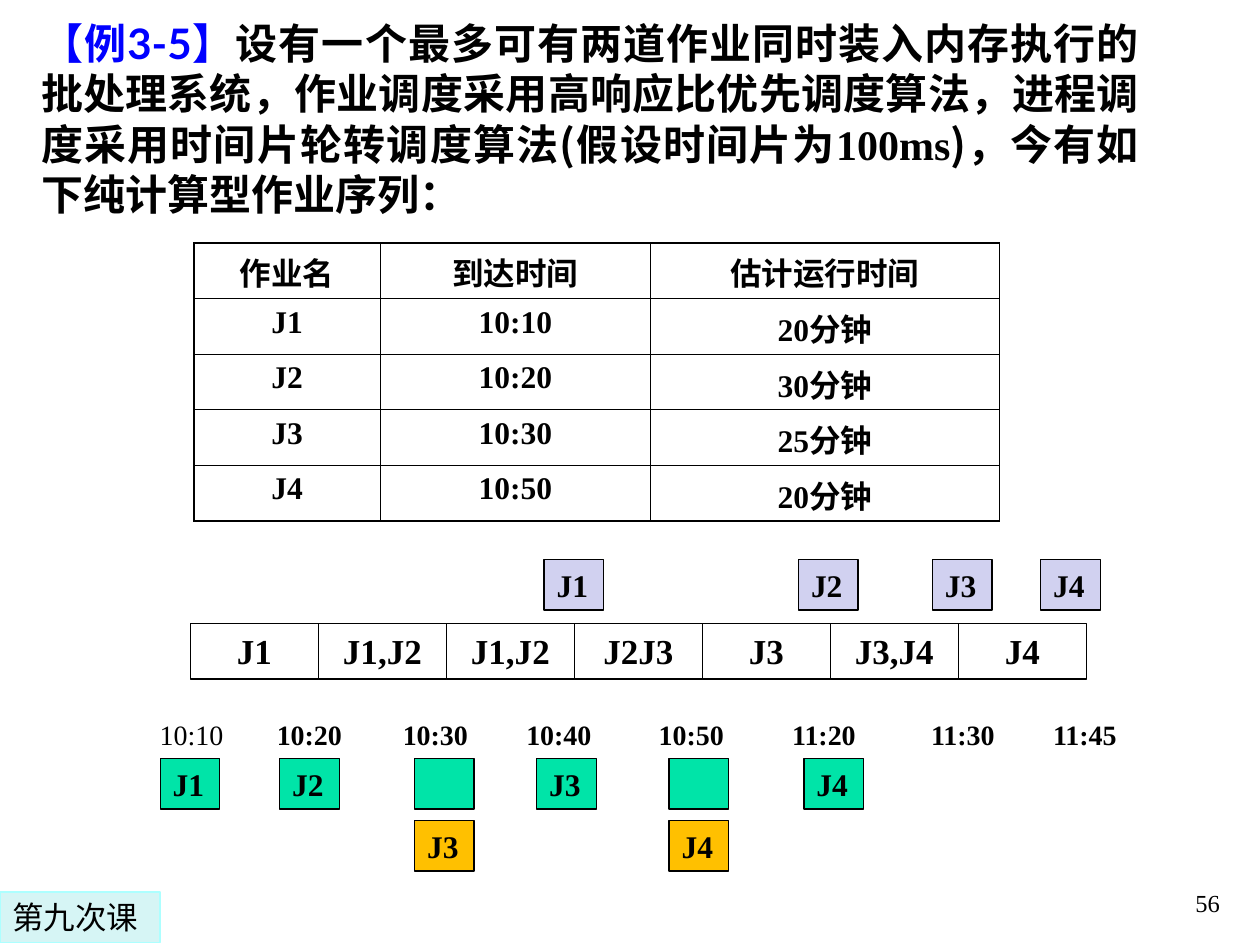
"""Build the job scheduling example slide with its job table and timeline."""
from dataclasses import dataclass
from typing import Optional

from lxml import etree
from pptx import Presentation
from pptx.dml.color import RGBColor
from pptx.enum.shapes import MSO_SHAPE
from pptx.enum.text import MSO_ANCHOR, PP_ALIGN
from pptx.oxml.ns import qn
from pptx.util import Cm, Pt

RECT = MSO_SHAPE.RECTANGLE
TOP, BOTTOM = MSO_ANCHOR.TOP, MSO_ANCHOR.BOTTOM
LEFT, CENTER, RIGHT, JUSTIFY = PP_ALIGN.LEFT, PP_ALIGN.CENTER, PP_ALIGN.RIGHT, PP_ALIGN.JUSTIFY
TIMES, CJK, LATO, DEJAVU = "Times New Roman", "Noto Sans CJK SC", "Lato", "DejaVu Sans"
COLORS = {
    "text": "000000", "heading": "0000FF", "finish": "D1D1F0", "arrive": "00E4A8",
    "wait": "FFC000", "label": "D6F5F5", "label_line": "ADFFFF",
}
THIN, THICK = 0.45, 1.08

QUESTION = [
    ("【例", CJK, "heading"),
    ("3-5", LATO, "heading"),
    ("】", CJK, "heading"),
    ("设有一个最多可有两道作业同时装入内存执行的批处理系统，作业调度采用", CJK, "text"),
    ("高响应比优先", LATO, "text"),
    ("调度算法，进程调度采用时间片轮转调度算法(", CJK, "text"),
    ("假设时间片为", LATO, "text"),
    ("100ms", TIMES, "text"),
    (")，今有如下纯计算型作业序列：", CJK, "text"),
]
JOBS = [
    ("作业名", "到达时间", "估计运行时间"),
    ("J1", "10:10", "20分钟"),
    ("J2", "10:20", "30分钟"),
    ("J3", "10:30", "25分钟"),
    ("J4", "10:50", "20分钟"),
]
COLUMN_WIDTHS = (3.76, 5.44, 7.04)
ROW_HEIGHT = 1.12
RUNNING = ("J1", "J1,J2", "J1,J2", "J2J3", "J3", "J3,J4", "J4")
TICKS = [
    ("10:10", 2.97), ("10:20", 5.33), ("10:30", 7.87), ("10:40", 10.36),
    ("10:50", 13.03), ("11:20", 15.72), ("11:30", 18.52), ("11:45", 20.98),
]


@dataclass
class ChipRow:
    """A row of equal job chips sharing a top edge and a fill."""
    top: float
    fill: str
    chips: list[tuple[str, float]]


CHIP_ROWS = [
    ChipRow(11.28, "finish", [("J1", 10.97), ("J2", 16.1), ("J3", 18.8), ("J4", 20.98)]),
    ChipRow(15.29, "arrive", [("J1", 3.23), ("J2", 5.64), ("", 8.36),
                              ("J3", 10.82), ("", 13.49), ("J4", 16.21)]),
    ChipRow(16.54, "wait", [("J3", 8.36), ("J4", 13.49)]),
]


def rgb(name: str) -> RGBColor:
    """Look up a named colour."""
    return RGBColor.from_string(COLORS[name])


def style_run(r, size: float, bold: bool, font: str = TIMES, color: str = "text",
              east_asian: str = CJK) -> None:
    """Format a run, including its East Asian typeface."""
    r.font.size, r.font.bold, r.font.name = Pt(size), bold, font
    r.font.color.rgb = rgb(color)
    etree.SubElement(r.font._element, qn("a:ea")).set("typeface", east_asian)


def write(sp, text: str, size: float, bold: bool = True, align=LEFT, font: str = TIMES,
          east_asian: str = CJK, anchor=TOP, wrap: bool = True) -> None:
    """Put one styled line into a shape or text box."""
    tf = sp.text_frame
    tf.word_wrap, tf.vertical_anchor = wrap, anchor
    p = tf.paragraphs[0]
    p.text, p.alignment = text, align
    for r in p.runs:
        style_run(r, size, bold, font, east_asian=east_asian)


def add_box(s, x: float, y: float, w: float, h: float, fill: Optional[str] = None,
            line: str = "text"):
    """Add an outlined rectangle with an optional fill."""
    sp = s.shapes.add_shape(RECT, Cm(x), Cm(y), Cm(w), Cm(h))
    sp.shadow.inherit = False
    if fill:
        sp.fill.solid()
        sp.fill.fore_color.rgb = rgb(fill)
    else:
        sp.fill.background()
    sp.line.color.rgb = rgb(line)
    sp.line.width = Pt(0.75)
    return sp


def add_text(s, x: float, y: float, w: float, h: float):
    """Add an empty text box."""
    return s.shapes.add_textbox(Cm(x), Cm(y), Cm(w), Cm(h))


def add_question(s) -> None:
    """Add the question paragraph."""
    tf = add_text(s, 0.58, 0.23, 22.63, 4.32).text_frame
    tf.word_wrap = True
    p = tf.paragraphs[0]
    p.alignment, p.line_spacing = JUSTIFY, Pt(28.8)
    for text, font, color in QUESTION:
        r = p.add_run()
        r.text = text
        style_run(r, 24, True, font, color)


def set_border(cell, side: str, width: float) -> None:
    """Draw one edge of a table cell."""
    ln = etree.SubElement(cell._tc.get_or_add_tcPr(), qn(f"a:ln{side}"), w=str(Pt(width)))
    fill = etree.SubElement(ln, qn("a:solidFill"))
    etree.SubElement(fill, qn("a:srgbClr"), val=COLORS["text"])


def add_job_table(s) -> None:
    """Add the job table with a heavier outer frame."""
    rows, cols = len(JOBS), len(COLUMN_WIDTHS)
    table = s.shapes.add_table(rows, cols, Cm(3.91), Cm(4.9), Cm(sum(COLUMN_WIDTHS)),
                               Cm(ROW_HEIGHT * rows)).table
    table.first_row = table.horz_banding = False
    for column, width in zip(table.columns, COLUMN_WIDTHS):
        column.width = Cm(width)
    for i, job in enumerate(JOBS):
        table.rows[i].height = Cm(ROW_HEIGHT)
        for j, text in enumerate(job):
            cell = table.cell(i, j)
            outer = {"L": j == 0, "R": j == cols - 1, "T": i == 0, "B": i == rows - 1}
            for side, is_outer in outer.items():
                set_border(cell, side, THICK if is_outer else THIN)
            cell.fill.background()
            cell.margin_bottom = 0
            write(cell, text, 18, align=CENTER)


def add_timeline(s) -> None:
    """Add the running jobs, the clock times and the job chips."""
    for i, jobs in enumerate(RUNNING):
        write(add_box(s, 3.84 + 2.58 * i, 12.57, 2.58, 1.12), jobs, 20, align=CENTER)
    for i, (time, x) in enumerate(TICKS):
        write(add_text(s, x, 14.35, 2.13, 0.94), time, 16, bold=i > 0)
    for row in CHIP_ROWS:
        for job, x in row.chips:
            write(add_box(s, x, row.top, 1.2, 1.02, row.fill), job, 18, wrap=False)


def add_footer(s) -> None:
    """Add the lesson label and the page number."""
    label = add_box(s, 0, 17.98, 3.23, 1.02, "label", "label_line")
    write(label, "第九次课", 18, bold=False, font=DEJAVU, east_asian=DEJAVU)
    label.text_frame.paragraphs[0].line_spacing = Pt(21.6)
    page = add_text(s, 19.56, 17.35, 5.28, 1.27)
    write(page, "56", 14, bold=False, align=RIGHT, anchor=BOTTOM)


def main() -> None:
    """Build and save the slide."""
    prs = Presentation()
    prs.slide_width, prs.slide_height = Cm(25.4), Cm(19.05)
    s = prs.slides.add_slide(prs.slide_layouts[6])
    add_question(s)
    add_job_table(s)
    add_timeline(s)
    add_footer(s)
    prs.save("out.pptx")


if __name__ == "__main__":
    main()
